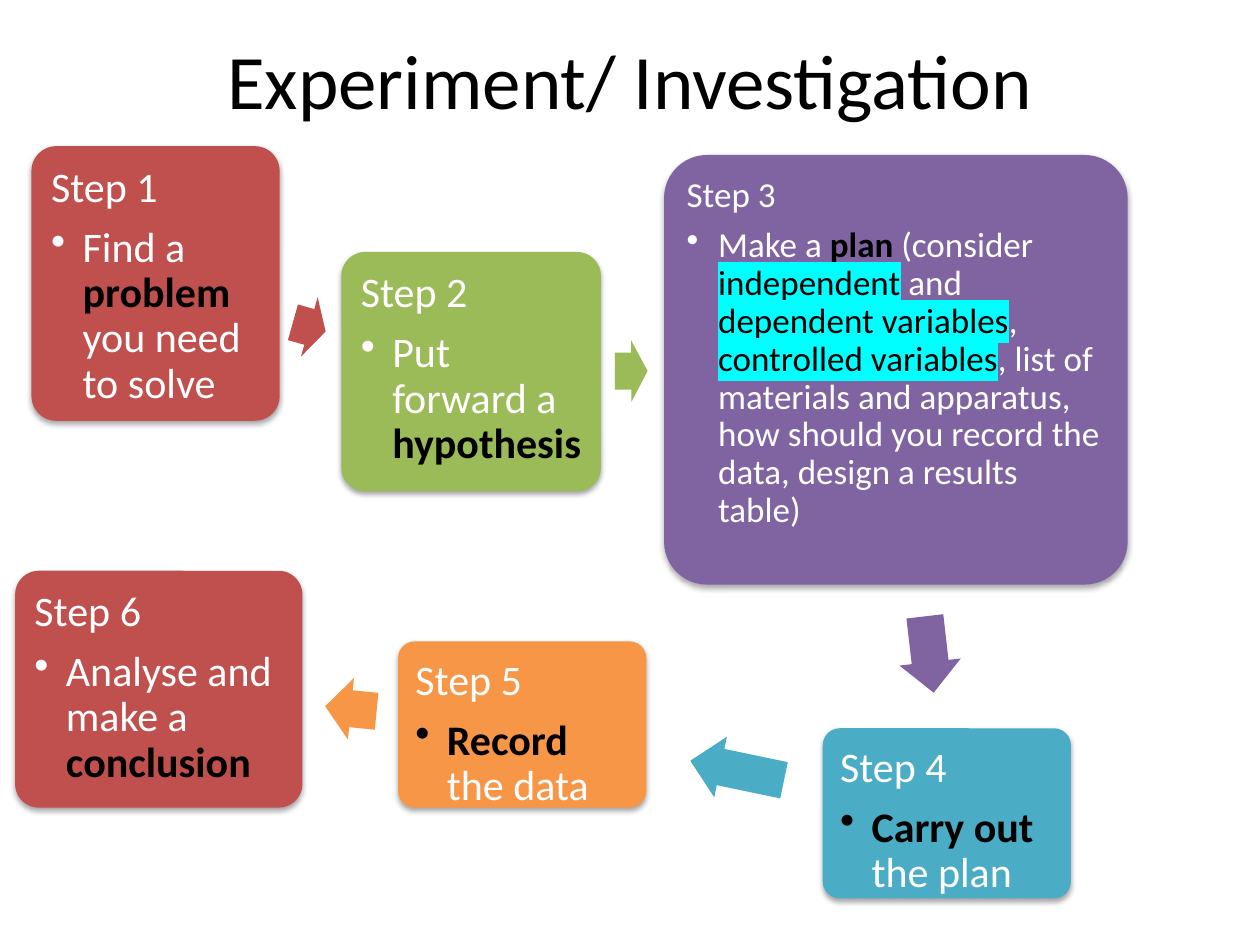
"""Build a slide showing the six steps of an experiment or investigation."""
import pptx
import pptx.dml.color
import pptx.enum.shapes
import pptx.enum.text
import pptx.oxml
import pptx.oxml.ns
import pptx.util

RGBColor = pptx.dml.color.RGBColor
SHAPE = pptx.enum.shapes.MSO_SHAPE
ANCHOR = pptx.enum.text.MSO_ANCHOR
ALIGN = pptx.enum.text.PP_ALIGN
RED = RGBColor(0xC0, 0x50, 0x4D)
GREEN = RGBColor(0x9B, 0xBB, 0x59)
PURPLE = RGBColor(0x80, 0x64, 0xA2)
TEAL = RGBColor(0x4B, 0xAC, 0xC6)
ORANGE = RGBColor(0xF7, 0x96, 0x46)
WHITE = RGBColor(255, 255, 255)
BLACK = RGBColor(0, 0, 0)
CYAN = RGBColor(0, 255, 255)
FONT = "Calibri"
NS = pptx.oxml.ns.nsdecls("a")
SHADOW = (
    f'<a:effectLst {NS}><a:outerShdw blurRad="40000" dist="23000" dir="5400000" rotWithShape="0">'
    '<a:srgbClr val="000000"><a:alpha val="35000"/></a:srgbClr></a:outerShdw></a:effectLst>'
)

deck = pptx.Presentation()
deck.slide_width, deck.slide_height = pptx.util.Inches(10), pptx.util.Inches(7.5)
slide = deck.slides.add_slide(deck.slide_layouts[5])
column = deck.slide_width / 100
row = deck.slide_height / 75


def add_block(preset, left, top, width, height, color):
    block = slide.shapes.add_shape(
        preset, round(left * column), round(top * row), round(width * column), round(height * row))
    block.shadow.inherit = False
    block.fill.solid()
    block.fill.fore_color.rgb = color
    block.line.fill.background()
    return block


def add_run(paragraph, text, size, style="plain"):
    run = paragraph.add_run()
    run.text = text
    run.font.size = pptx.util.Pt(size)
    run.font.bold = style == "key"
    run.font.color.rgb = WHITE if style == "plain" else BLACK
    if style == "marked":
        run.font.fill._xPr.find(pptx.oxml.ns.qn("a:solidFill")).addnext(pptx.oxml.parse_xml(
            f'<a:highlight {NS}><a:srgbClr val="{CYAN}"/></a:highlight>'))
    run.font.name = FONT


title = slide.shapes.title
title.left, title.top = round(5 * column), 0
title.width, title.height = round(90 * column), round(12.5 * row)
title.text_frame.vertical_anchor = ANCHOR.MIDDLE
heading = title.text_frame.paragraphs[0]
heading.alignment = ALIGN.CENTER
add_run(heading, "Experiment/ Investigation", 44, "title")

steps = [
    ((2.5, 11.6, 19.7, 21.8), RED, 24, 0.1,
     [("Find a ",), ("problem", "key"), (" you need to solve",)]),
    ((27.1, 20, 20.6, 19), GREEN, 24, 0.1,
     [("Put forward a ",), ("hypothesis", "key")]),
    ((52.7, 12.3, 36.8, 34.1), PURPLE, 20, 0.08,
     [("Make a ",), ("plan", "key"), (" (consider ",), ("independent", "marked"), (" and ",),
      ("dependent variables", "marked"), (", ",), ("controlled variables", "marked"),
      (", list of materials and apparatus, how should you record the data, design a results table)",)]),
    ((65.3, 57.8, 19.7, 13.5), TEAL, 24, 0.1, [("Carry out ", "key"), ("the plan",)]),
    ((31.6, 50.9, 19.7, 13.2), ORANGE, 24, 0.1, [("Record ", "key"), ("the data",)]),
    ((1.2, 45.3, 22.8, 18.8), RED, 24, 0.1,
     [("Analyse and make a ",), ("conclusion", "key")]),
]
for number, (area, color, size, margin, task_runs) in enumerate(steps, 1):
    card = add_block(SHAPE.ROUNDED_RECTANGLE, *area, color)
    card.adjustments[0] = 0.1
    properties = card._element.spPr
    properties.replace(properties.find(pptx.oxml.ns.qn("a:effectLst")), pptx.oxml.parse_xml(SHADOW))
    frame = card.text_frame
    frame.word_wrap = True
    frame.vertical_anchor = ANCHOR.TOP
    frame.margin_left = frame.margin_right = pptx.util.Inches(margin)
    frame.margin_top = frame.margin_bottom = pptx.util.Inches(margin)
    label, task = frame.paragraphs[0], frame.add_paragraph()
    for paragraph, gap in ((label, 0.35), (task, 0.15)):
        paragraph.alignment = ALIGN.LEFT
        paragraph.line_spacing = 0.9
        paragraph.space_after = pptx.util.Pt(size * gap)
    task.level = 1
    indent = pptx.util.Inches(0.25)
    bullet = task._p.get_or_add_pPr()
    bullet.set("marL", str(indent))
    bullet.set("indent", str(-indent))
    bullet.append(pptx.oxml.parse_xml(f'<a:buChar {NS} char="•"/>'))
    add_run(label, f"Step {number}", size)
    for task_run in task_runs:
        add_run(task, task_run[0], size, *task_run[1:])

arrow_height = 4.9
arrows = [
    (23.2, 23.5, 2.7, 15.7, RED),
    (48.8, 27, 2.6, 359.7, GREEN),
    (70.7, 49.5, 6.1, 83.4, PURPLE),
    (54.7, 58.7, 7.6, 191.8, TEAL),
    (25.8, 53.8, 4.1, 185.6, ORANGE),
]
for left, top, width, angle, color in arrows:
    arrow = add_block(SHAPE.RIGHT_ARROW, left, top, width, arrow_height, color)
    arrow.adjustments[0], arrow.adjustments[1] = 0.6, 0.5
    arrow.rotation = angle

deck.save("out.pptx")
